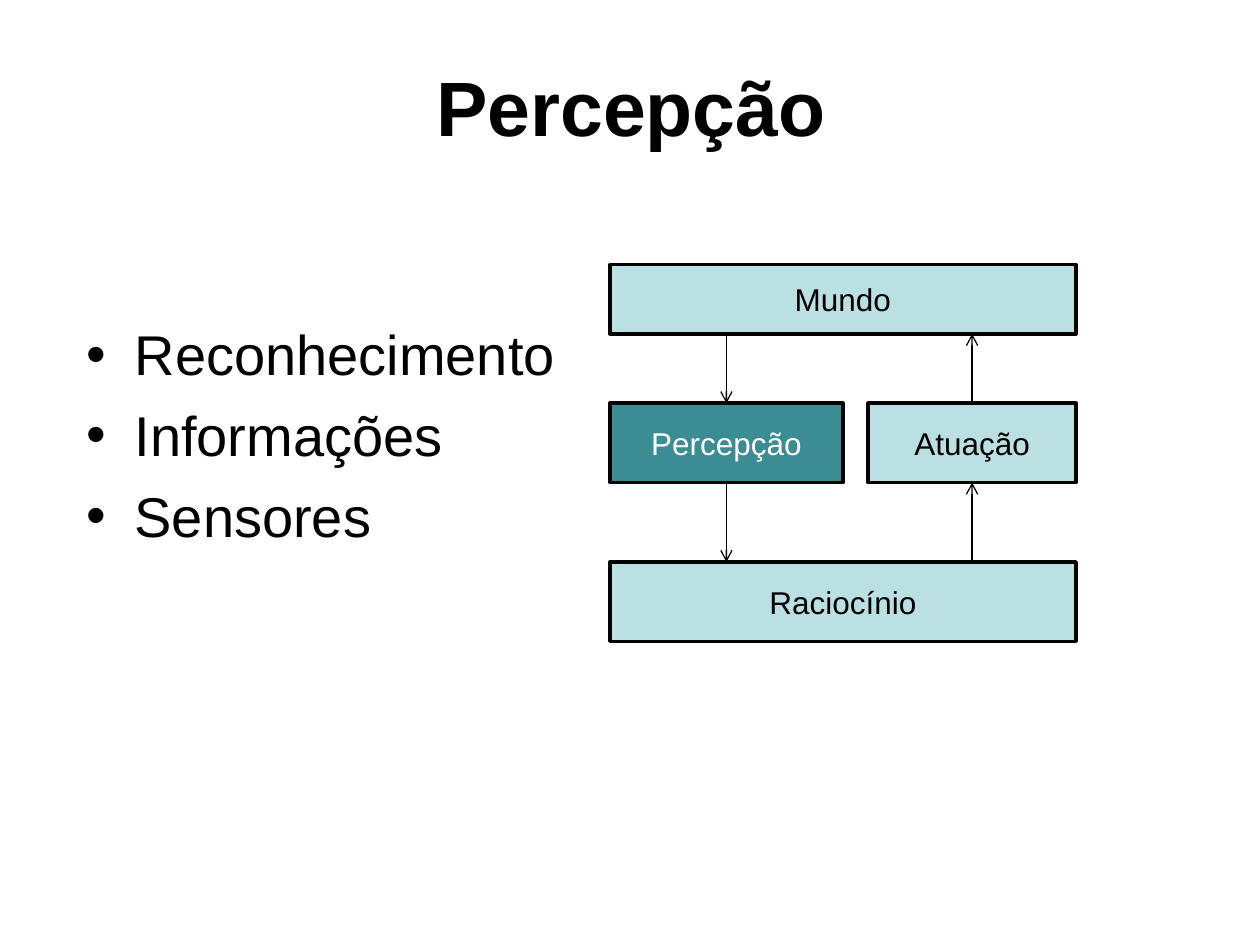
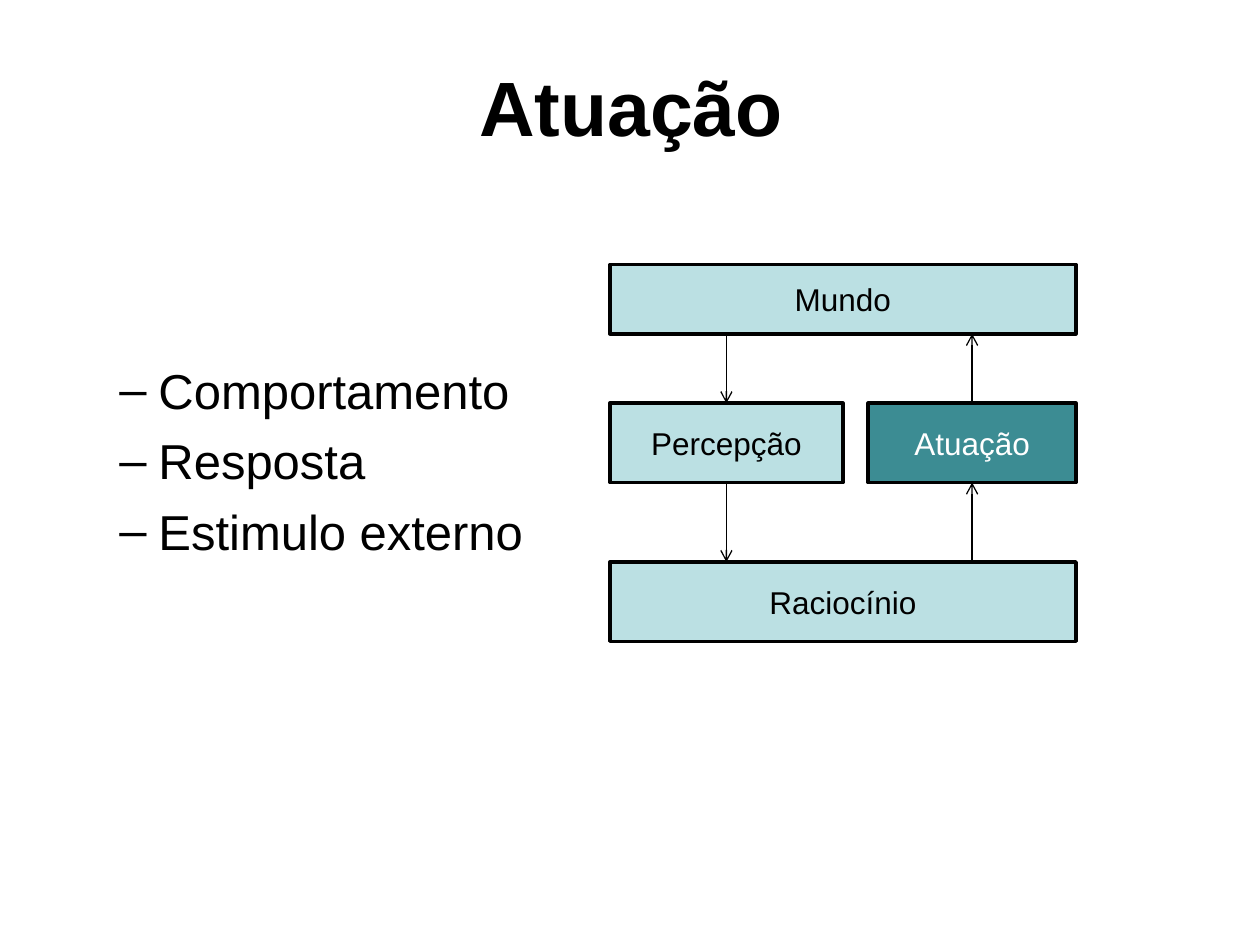
import pptx
import pptx.util
import pptx.dml.color
import pptx.enum.shapes
import pptx.enum.text
import pptx.oxml
import pptx.oxml.ns
from lxml import etree

Pt = pptx.util.Pt
RGBColor = pptx.dml.color.RGBColor
BLACK = RGBColor(0x00, 0x00, 0x00)
WHITE = RGBColor(0xFF, 0xFF, 0xFF)
PALE = RGBColor(0xBB, 0xE0, 0xE3)
TEAL = RGBColor(0x3C, 0x8C, 0x93)
MIDDLE = pptx.enum.text.MSO_ANCHOR.MIDDLE
CENTER = pptx.enum.text.PP_ALIGN.CENTER

deck = pptx.Presentation()
deck.slide_width = pptx.util.Inches(10)
deck.slide_height = pptx.util.Inches(7.5)
COL = deck.slide_width / 100
ROW = deck.slide_height / 100


def grid(left, top, wide, high):
    return round(left * COL), round(top * ROW), round(wide * COL), round(high * ROW)


def style(par, size, color, bold=False):
    for run in par.runs:
        run.font.name = "Arial"
        run.font.size = Pt(size)
        run.font.bold = bold
        run.font.color.rgb = color


boxes = [
    ("Mundo", 48.4, 28, 37, 7.33),
    ("Percepção", 48.4, 42.67, 18.5, 8.4),
    ("Raciocínio", 48.4, 59.47, 37, 8.4),
    ("Atuação", 68.9, 42.67, 16.5, 8.4),
]
pages = [
    ("Percepção", ["Reconhecimento", "Informações", "Sensores"],
     (5.9, 33.2, 90, 43.07), 0, 32, "•", 0.38, 0.38),
    ("Atuação", ["Comportamento", "Resposta", "Estimulo externo"],
     (3.5, 37.47, 90, 25.2), 1, 28, "–", 0.81, 0.31),
]

for name, items, area, level, size, mark, indent, hang in pages:
    slide = deck.slides.add_slide(deck.slide_layouts[5])
    title = slide.shapes.title
    title.left, title.top, title.width, title.height = grid(5.1, 2.8, 90, 16.67)
    title.text_frame.text = name
    title.text_frame.vertical_anchor = MIDDLE
    title.text_frame.paragraphs[0].alignment = CENTER
    style(title.text_frame.paragraphs[0], 44, BLACK, True)

    frame = slide.shapes.add_textbox(*grid(*area)).text_frame
    frame.word_wrap = True
    frame.text = "\n".join(items)
    for par in frame.paragraphs:
        par.level = level
        par.space_before = Pt(size * 0.24)
        style(par, size, BLACK)
        props = par._p.get_or_add_pPr()
        props.set("marL", str(pptx.util.Inches(indent)))
        props.set("indent", str(-pptx.util.Inches(hang)))
        font = etree.SubElement(props, pptx.oxml.ns.qn("a:buFont"))
        font.set("typeface", "Arial")
        bullet = etree.SubElement(props, pptx.oxml.ns.qn("a:buChar"))
        bullet.set("char", mark)

    nodes = {}
    for label, *area in boxes:
        box = slide.shapes.add_shape(
            pptx.enum.shapes.MSO_SHAPE.RECTANGLE, *grid(*area))
        active = label == name
        box.shadow.inherit = False
        box.fill.solid()
        box.fill.fore_color.rgb = TEAL if active else PALE
        box.line.color.rgb = BLACK
        box.line.width = Pt(2)
        box.text_frame.text = label
        box.text_frame.vertical_anchor = MIDDLE
        box.text_frame.paragraphs[0].alignment = CENTER
        style(box.text_frame.paragraphs[0], 18, WHITE if active else BLACK)
        nodes[label] = box

    world, reason = nodes["Mundo"], nodes["Raciocínio"]
    for label, down in (("Percepção", True), ("Atuação", False)):
        box = nodes[label]
        mid = box.left + box.width // 2
        for site, near, far in (
                (0, box.top, world.top + world.height),
                (2, box.top + box.height, reason.top)):
            inward = down == (site == 0)
            start, end = (far, near) if inward else (near, far)
            link = slide.shapes.add_connector(
                pptx.enum.shapes.MSO_CONNECTOR.STRAIGHT, mid, start, mid, end)
            if inward:
                link.end_connect(box, site)
            else:
                link.begin_connect(box, site)
            link.line.color.rgb = BLACK
            link.line.width = Pt(0.75)
            tip = etree.SubElement(
                link.line._get_or_add_ln(), pptx.oxml.ns.qn("a:tailEnd"))
            tip.set("type", "arrow")
            etree.SubElement(
                link._element.spPr, pptx.oxml.ns.qn("a:effectLst"))

deck.save("out.pptx")
